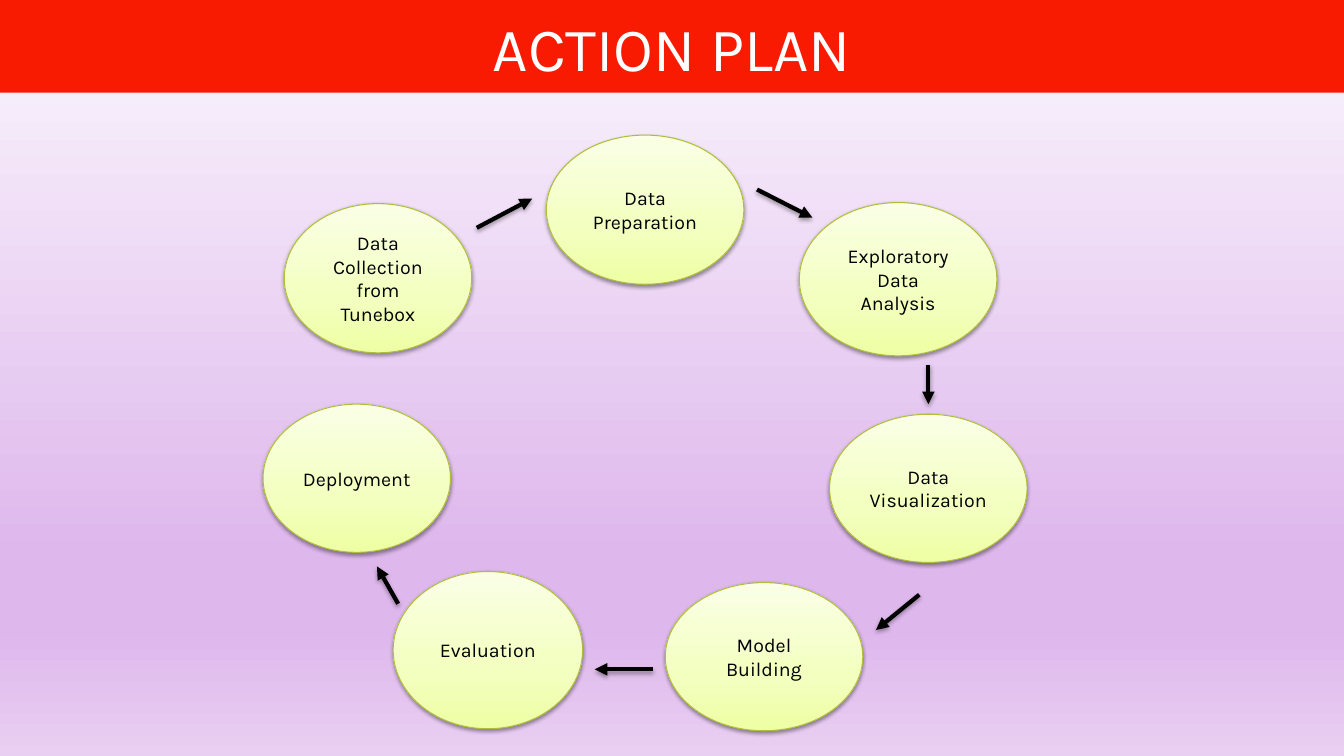
"""Builds the action plan slide: seven project stages joined by arrows."""
from dataclasses import dataclass

from lxml.etree import SubElement
from pptx import Presentation
from pptx.dml.color import RGBColor
from pptx.enum.shapes import MSO_CONNECTOR as Connector, MSO_SHAPE as Shape
from pptx.enum.text import MSO_ANCHOR as Anchor, PP_ALIGN as Align
from pptx.oxml.ns import qn
from pptx.util import Emu, Inches, Pt

CELL = Inches(0.1)
COLUMNS, ROWS = 133.33, 75
FONT = "Karla"
BLACK, WHITE, RED, OLIVE = "000000", "FFFFFF", "F81B02", "ADBE3C"
LILAC_STOPS = [(0, "FBF7FD"), (74, "DEB7EC"), (83, "DEB7EC"), (100, "E9CFF2")]
LIME_STOPS = [(0, "EEFFA3"), (35, "F3FFBE"), (100, "FAFFE6")]


@dataclass
class Stage:
    label: str
    column: float
    row: float
    columns: float
    rows: float


@dataclass
class Arrow:
    start: tuple[float, float]
    end: tuple[float, float]


STAGES = [
    Stage("Data Collection from Tunebox", 28.2, 20.2, 18.6, 14.8),
    Stage("Data Preparation", 54.2, 13.4, 19.6, 14.8),
    Stage("Exploratory Data Analysis", 79.3, 20.1, 19.6, 15.2),
    Stage("Data Visualization", 82.3, 41.1, 19.6, 14.7),
    Stage("Model Building", 66, 57.8, 19.6, 14.7),
    Stage("Evaluation", 39, 56.7, 18.8, 15.6),
    Stage("Deployment", 26.1, 40.1, 18.6, 14.7),
]
ARROWS = [
    Arrow((47.3, 22.6), (52.8, 19.7)),
    Arrow((75.1, 18.8), (80.6, 21.6)),
    Arrow((92.1, 36.2), (92.1, 40.1)),
    Arrow((91.2, 59), (86.9, 62.5)),
    Arrow((64.8, 66.4), (59, 66.4)),
    Arrow((39.5, 59.9), (37.4, 56.2)),
]


def cells(*counts: float) -> list[Emu]:
    return [Emu(round(count * CELL)) for count in counts]


def color(value: str) -> RGBColor:
    return RGBColor.from_string(value)


def paint_gradient(fill, element, stops: list[tuple[int, str]], angle: int) -> None:
    fill.gradient()
    fill.gradient_angle = angle
    stop_list = next(element.iter(qn("a:gsLst")))
    for old_stop in list(stop_list):
        stop_list.remove(old_stop)
    for position, value in stops:
        stop = SubElement(stop_list, qn("a:gs"), pos=str(position * 1000))
        SubElement(stop, qn("a:srgbClr"), val=value)


def add_shadow(effects, distance: float, opacity: int) -> None:
    shadow = SubElement(effects, qn("a:outerShdw"), blurRad=str(Pt(3.1)),
                        dist=str(Pt(distance)), dir="5400000", rotWithShape="0")
    shade = SubElement(shadow, qn("a:srgbClr"), val=BLACK)
    SubElement(shade, qn("a:alpha"), val=str(opacity * 1000))


def write_text(shape, text: str, size: int, value: str) -> None:
    frame = shape.text_frame
    frame.text = text
    frame.word_wrap = True
    frame.vertical_anchor = Anchor.MIDDLE
    paragraph = frame.paragraphs[0]
    paragraph.alignment = Align.CENTER
    font = paragraph.runs[0].font
    font.name, font.size = FONT, Pt(size)
    font.color.rgb = color(value)


def add_banner(slide, title: str) -> None:
    banner = slide.shapes.add_shape(Shape.RECTANGLE, *cells(0, 0, COLUMNS, 9.2))
    banner.shadow.inherit = False
    banner.fill.solid()
    banner.fill.fore_color.rgb = color(RED)
    banner.line.fill.background()
    write_text(banner, title, 44, WHITE)


def add_stage(slide, stage: Stage) -> None:
    bounds = cells(stage.column, stage.row, stage.columns, stage.rows)
    ellipse = slide.shapes.add_shape(Shape.OVAL, *bounds)
    properties = ellipse.element.spPr
    paint_gradient(ellipse.fill, properties, LIME_STOPS, 90)
    ellipse.line.color.rgb = color(OLIVE)
    ellipse.line.width = Pt(0.75)
    ellipse.shadow.inherit = False
    add_shadow(properties.find(qn("a:effectLst")), 1.6, 38)
    write_text(ellipse, stage.label, 14, BLACK)


def add_arrow(slide, arrow: Arrow) -> None:
    ends = cells(*arrow.start, *arrow.end)
    connector = slide.shapes.add_connector(Connector.STRAIGHT, *ends)
    connector.line.color.rgb = color(BLACK)
    connector.line.width = Pt(3)
    properties = connector.element.spPr
    SubElement(properties.find(qn("a:ln")), qn("a:tailEnd"), type="triangle")
    add_shadow(SubElement(properties, qn("a:effectLst")), 1.8, 35)


def main() -> None:
    presentation = Presentation()
    presentation.slide_width, presentation.slide_height = cells(COLUMNS, ROWS)
    slide = presentation.slides.add_slide(presentation.slide_layouts[6])
    paint_gradient(slide.background.fill, slide.element, LILAC_STOPS, 270)
    add_banner(slide, "ACTION PLAN")
    for stage in STAGES:
        add_stage(slide, stage)
    for arrow in ARROWS:
        add_arrow(slide, arrow)
    presentation.save("out.pptx")


if __name__ == "__main__":
    main()
